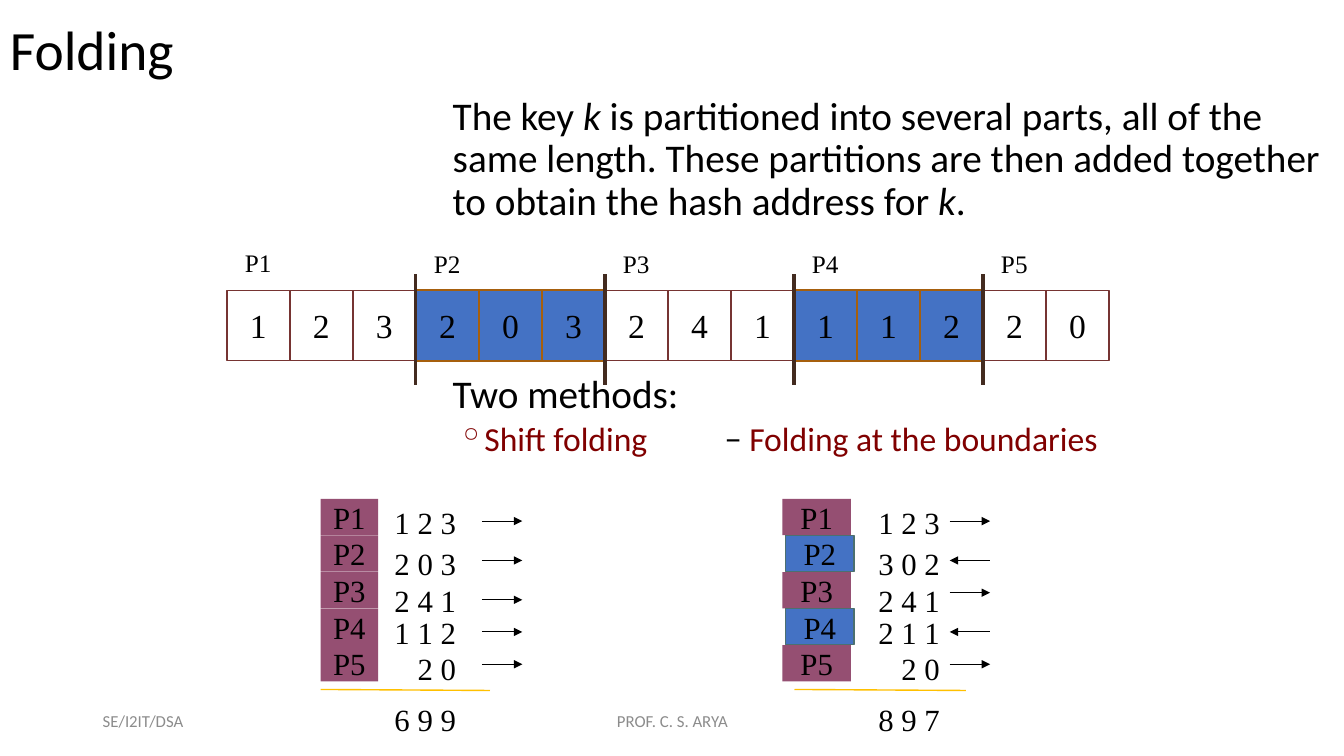
from pptx import Presentation
from pptx.dml.color import RGBColor
from pptx.enum.shapes import MSO_CONNECTOR as CONN, MSO_SHAPE as SHAPE
from pptx.enum.text import MSO_ANCHOR as ANCHOR, PP_ALIGN as ALIGN
from pptx.oxml.ns import qn
from pptx.util import Inches, Pt
from lxml.etree import SubElement

SANS, SERIF = "Calibri", "Times New Roman"
BLACK, WHITE, GREY, MAROON = "000000", "FFFFFF", "8C8C8C", "800000"
BLUE, PLUM, GOLD = "4472C4", "954F72", "FFC000"


def rgb(value):
    return RGBColor.from_string(value)


class Slide:
    def __init__(self, prs):
        self.slide = prs.slides.add_slide(prs.slide_layouts[6])
        self.shapes = self.slide.shapes

    def start_group(self):
        self.shapes = self.slide.shapes.add_group_shape().shapes

    def style(self, p, size, font=SERIF, color=BLACK, align=ALIGN.LEFT):
        p.alignment = align
        p.font.size, p.font.name = Pt(size), font
        p.font.color.rgb = rgb(color)

    def frame(self, x, y, w, h, anchor=ANCHOR.TOP):
        sp = self.shapes.add_textbox(Inches(x), Inches(y), Inches(w), Inches(h))
        tf = sp.text_frame
        tf.word_wrap, tf.vertical_anchor = True, anchor
        return tf

    def text(self, x, y, w, h, text, size, anchor=ANCHOR.TOP, **style):
        tf = self.frame(x, y, w, h, anchor)
        p = tf.paragraphs[0]
        p.text = text
        self.style(p, size, **style)
        return tf

    def box(self, x, y, w, h, text, size, fill, line=None, width=1):
        sp = self.shapes.add_shape(SHAPE.RECTANGLE, Inches(x), Inches(y),
                                   Inches(w), Inches(h))
        sp.shadow.inherit = False
        sp.fill.solid()
        sp.fill.fore_color.rgb = rgb(fill)
        if line:
            sp.line.color.rgb, sp.line.width = rgb(line), Pt(width)
        else:
            sp.line.fill.background()
        tf = sp.text_frame
        tf.vertical_anchor = ANCHOR.MIDDLE
        p = tf.paragraphs[0]
        p.text = text
        self.style(p, size, align=ALIGN.CENTER)

    def line(self, x1, y1, x2, y2, color, width, arrow=None):
        sp = self.shapes.add_connector(CONN.STRAIGHT, Inches(x1), Inches(y1),
                                       Inches(x2), Inches(y2))
        sp.line.color.rgb, sp.line.width = rgb(color), Pt(width)
        pr = sp._element.spPr
        if arrow:
            SubElement(pr.find(qn("a:ln")), qn(f"a:{arrow}"), type="triangle")
        SubElement(pr, qn("a:effectLst"))

    def runs(self, p, parts):
        for text, italic, color in parts:
            r = p.add_run()
            r.text = text
            r.font.italic = italic
            r.font.color.rgb = rgb(color)

    def indent(self, p, left, first=0, bullet=None):
        pr = p._p.get_or_add_pPr()
        pr.set("marL", str(Inches(left)))
        pr.set("indent", str(Inches(first)))
        if bullet:
            SubElement(pr, qn("a:buChar"), char=bullet)
        else:
            SubElement(pr, qn("a:buNone"))


def add_body(s):
    tf = s.frame(4.19, 0.91, 9.15, 3.7)
    tf.margin_left = tf.margin_right = 0
    definition = [
        ("The key ", False, BLACK), ("k", True, BLACK),
        (" is partitioned into several parts, all of the same length. These "
         "partitions are then added together to obtain the hash address for ",
         False, BLACK),
        ("k", True, BLACK), (".", False, BLACK)]
    methods = [("Shift folding", False, MAROON), ("\t\t− ", False, BLACK),
               ("Folding at the boundaries", False, MAROON)]
    # parts, size, space before, left indent, first line, bullet
    rows = [(definition, 28, 0, 0.3, 0, None),
            ([("Two methods:", False, BLACK)], 28, 108, 0.3, 0, None),
            (methods, 24, 4, 0.6, -0.25, "◦")]
    for i, (parts, size, before, left, first, bullet) in enumerate(rows):
        p = tf.add_paragraph() if i else tf.paragraphs[0]
        p.line_spacing, p.space_before = 0.9, Pt(before)
        s.runs(p, parts)
        s.indent(p, left, first, bullet)
        s.style(p, size, SANS)


def add_key(s):
    left, cell = 2.25, 0.625
    for i, digit in enumerate("12320324111220"):
        look = (BLUE, "A65F0D", 1.25) if i // 3 % 2 else (WHITE, "763432", 1)
        s.box(left + i * cell, 2.88, cell, 0.7, digit, 24, *look)
    for part in range(5):
        x = left + 3 * part * cell
        if part:
            s.line(x, 2.72, x, 3.82, "432B20", 2.25)
        s.text(x + 0.08, 2.41 if part else 2.4, 1.17, 0.4, f"P{part + 1}", 18)


def add_sum(s, label_x, label_w, number_x, number_w, rule, arrow_x,
            numbers, total, arrow_ys, reverse):
    s.start_group()
    number_ys = [4.95, 5.36, 5.72, 6.04, 6.4]
    rows = zip(numbers, number_ys, arrow_ys)
    for i, (number, number_y, arrow_y) in enumerate(rows):
        back = reverse and i % 2
        look = (BLUE, "4C7070") if back else (PLUM,)
        s.box(label_x + (0.03 if back else 0), 4.95 + i * 0.3625, label_w, 0.36,
              f"P{i + 1}", 22, *look)
        s.text(number_x, number_y, number_w, 0.47, number, 22, align=ALIGN.RIGHT)
        s.line(arrow_x, arrow_y, arrow_x + 0.4, arrow_y, BLACK, 0.75,
               "headEnd" if back else "tailEnd")
    s.line(rule[0], 6.84, rule[1], 6.85, GOLD, 1)
    s.text(number_x, 6.9, number_w, 0.47, total, 22, align=ALIGN.RIGHT)


def main():
    prs = Presentation()
    prs.slide_width, prs.slide_height = Inches(13.33), Inches(7.5)
    s = Slide(prs)

    # Footer
    s.text(0.92, 6.95, 3, 0.4, "SE/I2IT/DSA", 12, ANCHOR.MIDDLE,
           font=SANS, color=GREY)
    s.text(4.42, 6.95, 4.5, 0.4, "PROF. C. S. ARYA", 12, ANCHOR.MIDDLE,
           font=SANS, color=GREY, align=ALIGN.CENTER)

    # Title and explanation
    title = s.text(0, 0.3, 9, 0.61, "Folding", 39.6, ANCHOR.BOTTOM, font=SANS)
    title.margin_bottom = Inches(0.1)
    title.paragraphs[0].line_spacing = 0.85
    add_body(s)

    # Key split into parts
    add_key(s)

    # Folding at the boundaries, then shift folding
    add_sum(s, 7.76, 0.68, 8.46, 0.96, (7.88, 9.58), 9.42,
            ["1 2 3", "3 0 2", "2 4 1", "2 1 1", "2 0"], "8 9 7",
            [5.17, 5.56, 5.88, 6.27, 6.59], True)
    add_sum(s, 3.18, 0.57, 3.77, 0.85, (3.18, 4.86), 4.78,
            ["1 2 3", "2 0 3", "2 4 1", "1 1 2", "2 0"], "6 9 9",
            [5.17, 5.56, 5.95, 6.27, 6.59], False)

    prs.save("out.pptx")


if __name__ == "__main__":
    main()
